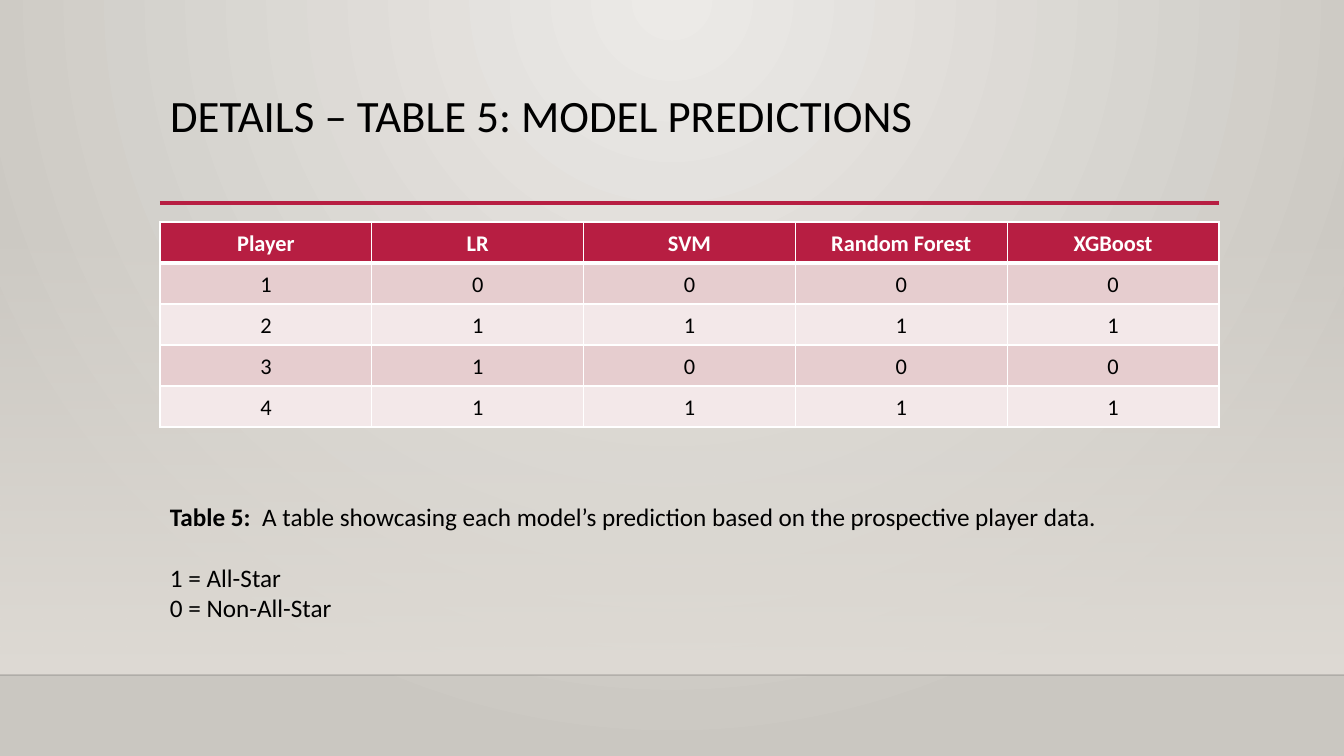
from pptx import Presentation
from pptx.dml.color import RGBColor
from pptx.enum.shapes import MSO_CONNECTOR, MSO_SHAPE
from pptx.enum.text import MSO_ANCHOR, MSO_AUTO_SIZE, PP_ALIGN
from pptx.oxml.ns import qn
from pptx.util import Pt
from lxml.etree import Element, SubElement

PX = 914400 / 100.8
FONT = "Calibri"
BLACK = RGBColor(0x00, 0x00, 0x00)
WHITE = RGBColor(0xFF, 0xFF, 0xFF)
CRIMSON = RGBColor(0xB7, 0x1E, 0x42)
ROSE = RGBColor(0xE6, 0xCD, 0xCF)
PALE_ROSE = RGBColor(0xF3, 0xE8, 0xE9)
BG_LIGHT = RGBColor(0xEC, 0xEA, 0xE7)
BG_DARK = RGBColor(0xCA, 0xC7, 0xC1)
SAND = RGBColor(0xDF, 0xDB, 0xD5)
SHADE = RGBColor(0x00, 0x00, 0x01)

LEFT, WIDTH = 160, 1059
ROW_H = 41
PREDICTIONS = [
    ("Player", "LR", "SVM", "Random Forest", "XGBoost"),
    ("1", "0", "0", "0", "0"),
    ("2", "1", "1", "1", "1"),
    ("3", "1", "0", "0", "0"),
    ("4", "1", "1", "1", "1"),
]


def emu(*lengths):
    return [round(n * PX) for n in lengths]


def set_alpha(color_el, percent):
    SubElement(color_el, qn("a:alpha"), val=str(percent * 1000))


def set_border(cell, side, width):
    ln = SubElement(cell._tc.get_or_add_tcPr(), qn(f"a:ln{side}"), w=str(Pt(width)))
    fill = SubElement(ln, qn("a:solidFill"))
    SubElement(fill, qn("a:srgbClr"), val=str(WHITE))


class SlideBuilder:
    def __init__(self, prs):
        self.s = prs.slides.add_slide(prs.slide_layouts[5])

    def style(self, r, size, color=BLACK, bold=False):
        r.font.name = FONT
        r.font.size = Pt(size)
        r.font.bold = bold
        r.font.color.rgb = color

    def gradient(self, fill, colors):
        fill.gradient()
        for stop, color in zip(fill.gradient_stops, colors):
            stop.color.rgb = color

    def background(self):
        self.gradient(self.s.background.fill, (BG_LIGHT, BG_DARK))
        lin = self.s._element.find(".//" + qn("a:lin"))
        circle = Element(qn("a:path"))
        circle.set("path", "circle")
        SubElement(circle, qn("a:fillToRect"), l="43000", t="0", r="43000", b="100000")
        lin.getparent().replace(lin, circle)

    def fading_band(self, x, y, w, h):
        """Rectangle that turns from clear at the top to solid at the bottom."""
        band = self.s.shapes.add_shape(MSO_SHAPE.RECTANGLE, *emu(x, y, w, h))
        band.shadow.inherit = False
        band.line.fill.background()
        self.gradient(band.fill, (SAND, SAND))
        band.fill.gradient_angle = 270
        set_alpha(band._element.find(".//" + qn("a:srgbClr")), 0)

    def rule(self, x1, x2, y, color, width, alpha=100):
        line = self.s.shapes.add_connector(MSO_CONNECTOR.STRAIGHT, *emu(x1, y, x2, y))
        line.line.color.rgb = color
        line.line.width = Pt(width)
        if alpha < 100:
            set_alpha(line._element.find(".//" + qn("a:srgbClr")), alpha)
        SubElement(line._element.spPr, qn("a:effectLst"))

    def title(self, text, x, y, w, h):
        sp = self.s.shapes.title
        sp._element.getparent().append(sp._element)
        sp.left, sp.top, sp.width, sp.height = emu(x, y, w, h)
        tf = sp.text_frame
        tf.text = text
        tf.auto_size = MSO_AUTO_SIZE.NONE
        tf.vertical_anchor = MSO_ANCHOR.TOP
        p = tf.paragraphs[0]
        p.alignment = PP_ALIGN.LEFT
        p.line_spacing = 0.9
        self.style(p.runs[0], 32)

    def table(self, rows, x, y, w, row_h):
        n_rows, n_cols = len(rows), len(rows[0])
        frame = self.s.shapes.add_table(n_rows, n_cols, *emu(x, y, w, row_h * n_rows))
        for row in frame.table.rows:
            row.height = emu(row_h)[0]
        for i, values in enumerate(rows):
            for j, value in enumerate(values):
                self.cell(frame.table.cell(i, j), value, i)

    def cell(self, cell, text, row):
        header = row == 0
        cell.margin_left, cell.margin_right = emu(7, 7)
        cell.margin_top = cell.margin_bottom = 0
        cell.vertical_anchor = MSO_ANCHOR.MIDDLE
        widths = {"L": 1, "R": 1, "T": 3 if row == 1 else 1, "B": 3 if header else 1}
        for side, width in widths.items():
            set_border(cell, side, width)
        cell.fill.solid()
        cell.fill.fore_color.rgb = CRIMSON if header else (PALE_ROSE, ROSE)[row % 2]
        cell.text_frame.text = text
        p = cell.text_frame.paragraphs[0]
        p.alignment = PP_ALIGN.CENTER
        p.line_spacing = 1.07
        self.style(p.runs[0], 16, WHITE if header else BLACK, header)

    def caption(self, label, text, legend, x, y, w, h):
        """Bold label with its text, then legend lines set one line lower."""
        tf = self.s.shapes.add_textbox(*emu(x, y, w, h)).text_frame
        tf.word_wrap = True
        tf.auto_size = MSO_AUTO_SIZE.SHAPE_TO_FIT_TEXT
        tf.text = label
        p = tf.paragraphs[0]
        self.style(p.runs[0], 18, bold=True)
        r = p.add_run()
        r.text = text
        self.style(r, 18)
        for i, entry in enumerate(legend):
            p = tf.add_paragraph()
            p.text = entry
            p.space_before = Pt(0 if i else 22)
            self.style(p.runs[0], 18)


def main():
    prs = Presentation()
    prs.slide_width, prs.slide_height = emu(1344, 756)
    slide = SlideBuilder(prs)
    slide.background()
    slide.fading_band(0, 223, 1344, 452)
    slide.rule(0, 1344, 675, SHADE, 1, alpha=20)
    slide.rule(LEFT, LEFT + WIDTH, 203, CRIMSON, 2.5)
    slide.title("DETAILS – TABLE 5: MODEL PREDICTIONS", LEFT, 89, WIDTH, 116)
    slide.table(PREDICTIONS, LEFT, 222, WIDTH, ROW_H)
    slide.caption(
        "Table 5:  ",
        "A table showcasing each model’s prediction based on the prospective player data.",
        ("1 = All-Star", "0 = Non-All-Star"),
        LEFT, 496, WIDTH, 132,
    )
    prs.save("out.pptx")


if __name__ == "__main__":
    main()
